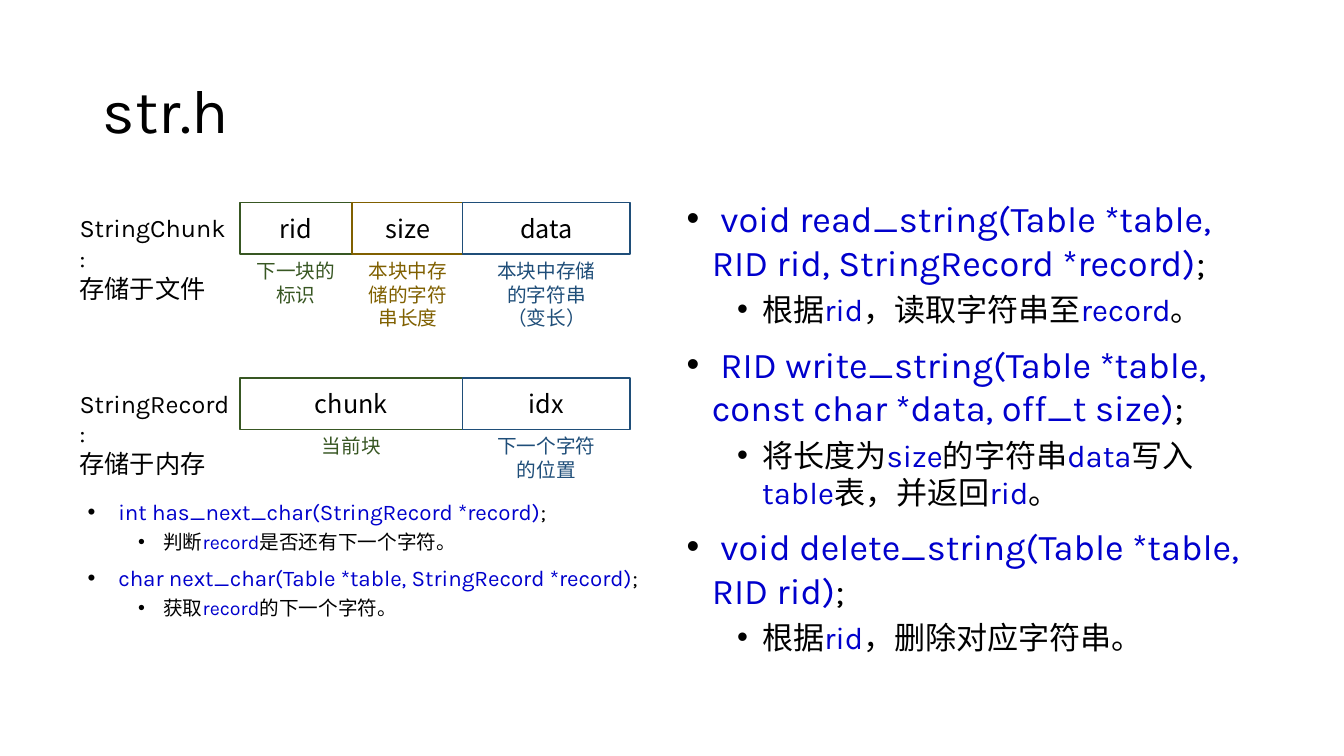
from lxml.etree import SubElement as Sub
from pptx import Presentation
from pptx.dml.color import RGBColor as RGB
from pptx.enum.shapes import MSO_SHAPE as SHAPE
from pptx.enum.text import MSO_ANCHOR as ANCHOR, MSO_AUTO_SIZE as FIT, PP_ALIGN as ALIGN
from pptx.oxml.ns import qn
from pptx.util import Inches, Pt

BLACK = RGB(0, 0, 0)
WHITE = RGB(255, 255, 255)
CODE = RGB(0, 0, 0xCC)
GREEN = RGB(0x38, 0x57, 0x23)
GOLD = RGB(0x80, 0x60, 0)
BLUE = RGB(0x1F, 0x4E, 0x79)
KARLA = "Karla"
NOTO = "Noto Sans CJK SC"

CALLS = [
    (0, " `void read_string(Table *table, RID rid, StringRecord *record)`;"),
    (1, "根据`rid`，读取字符串至`record`。"),
    (0, " `RID write_string(Table *table, const char *data, off_t size)`;"),
    (1, "将长度为`size`的字符串`data`写入`table`表，并返回`rid`。"),
    (0, " `void delete_string(Table *table, RID rid)`;"),
    (1, "根据`rid`，删除对应字符串。"),
]
STEPS = [
    (0, " `int has_next_char(StringRecord *record)`;"),
    (1, "判断`record`是否还有下一个字符。"),
    (0, " `char next_char(Table *table, StringRecord *record)`;"),
    (1, "获取`record`的下一个字符。"),
]
ROWS = [
    (2.01, "StringChunk:\n存储于文件", [
        ("rid", 2.38, 1.11, "下一块的标识", 1.11, GREEN),
        ("size", 3.49, 1.11, "本块中存储的字符串长度", 1.11, GOLD),
        ("data", 4.59, 1.66, "本块中存储的字符串（变长）", 1.24, BLUE),
    ]),
    (3.75, "StringRecord:\n存储于内存", [
        ("chunk", 2.38, 2.21, "当前块", 1.11, GREEN),
        ("idx", 4.59, 1.66, "下一个字符的位置", 1.24, BLUE),
    ]),
]
HIGH = 0.51


def style(run, size, color, face=KARLA):
    font = run.font
    font.size = Pt(size)
    font.name = face
    font.color.rgb = color
    Sub(font._element, qn("a:ea")).set("typeface", face)


def write(frame, text, size, color, align=ALIGN.LEFT, face=KARLA):
    frame.text = text
    frame.word_wrap = True
    for para in frame.paragraphs:
        para.alignment = align
        for run in para.runs:
            style(run, size, color, face)


def place(shape, left, top, width, height):
    shape.left, shape.top = Inches(left), Inches(top)
    shape.width, shape.height = Inches(width), Inches(height)


def bullet(para, level):
    para.level = level
    para.alignment = ALIGN.LEFT
    para.space_before = Pt(5 if level else 10)
    props = para._p.get_or_add_pPr()
    props.set("marL", str(Inches(0.75 if level else 0.25)))
    props.set("indent", str(Inches(-0.25)))
    Sub(props, qn("a:buFont")).set("typeface", "Arial")
    Sub(props, qn("a:buChar")).set("char", "•")


def fill_list(shape, items, sizes, spacing):
    frame = shape.text_frame
    frame.auto_size = FIT.NONE
    frame.word_wrap = True
    frame.vertical_anchor = ANCHOR.TOP
    for i, (level, text) in enumerate(items):
        para = frame.add_paragraph() if i else frame.paragraphs[0]
        para.line_spacing = spacing
        bullet(para, level)
        for j, part in enumerate(text.split("`")):
            run = para.add_run()
            run.text = part
            style(run, sizes[level], CODE if j % 2 else BLACK)


def add_text(slide, text, box, size, color, align=ALIGN.LEFT):
    shape = slide.shapes.add_textbox(*map(Inches, box))
    write(shape.text_frame, text, size, color, align)


def add_cell(slide, text, box, color):
    cell = slide.shapes.add_shape(SHAPE.RECTANGLE, *map(Inches, box))
    cell.shadow.inherit = False
    cell.fill.solid()
    cell.fill.fore_color.rgb = WHITE
    cell.line.color.rgb = color
    cell.line.width = Pt(1)
    cell.text_frame.vertical_anchor = ANCHOR.MIDDLE
    write(cell.text_frame, text, 18, BLACK, ALIGN.CENTER, NOTO)


def add_row(slide, top, label, cells):
    add_text(slide, label, (0.69, top + 0.05, 1.69, 0.71), 18, BLACK)
    for name, left, width, note, span, color in cells:
        add_cell(slide, name, (left, top, width, HIGH), color)
        start = left + (width - span) / 2
        add_text(slide, note, (start, top + HIGH, span, 0.81), 14, color, ALIGN.CENTER)


def main():
    deck = Presentation()
    deck.slide_width, deck.slide_height = Inches(13.33), Inches(7.5)
    slide = deck.slides.add_slide(deck.slide_layouts[3])
    title, steps, calls = slide.placeholders
    place(title, 0.92, 0.4, 11.5, 1.45)
    title.text_frame.vertical_anchor = ANCHOR.MIDDLE
    write(title.text_frame, "str.h", 44, BLACK)
    title.text_frame.paragraphs[0].line_spacing = 0.9
    place(calls, 6.71, 1.9, 5.75, 4.85)
    fill_list(calls, CALLS, (25.9, 22.2), 1.0)
    place(steps, 0.77, 4.92, 5.67, 1.31)
    fill_list(steps, STEPS, (16, 14), 0.9)
    for row in ROWS:
        add_row(slide, *row)
    deck.save("out.pptx")


if __name__ == "__main__":
    main()
